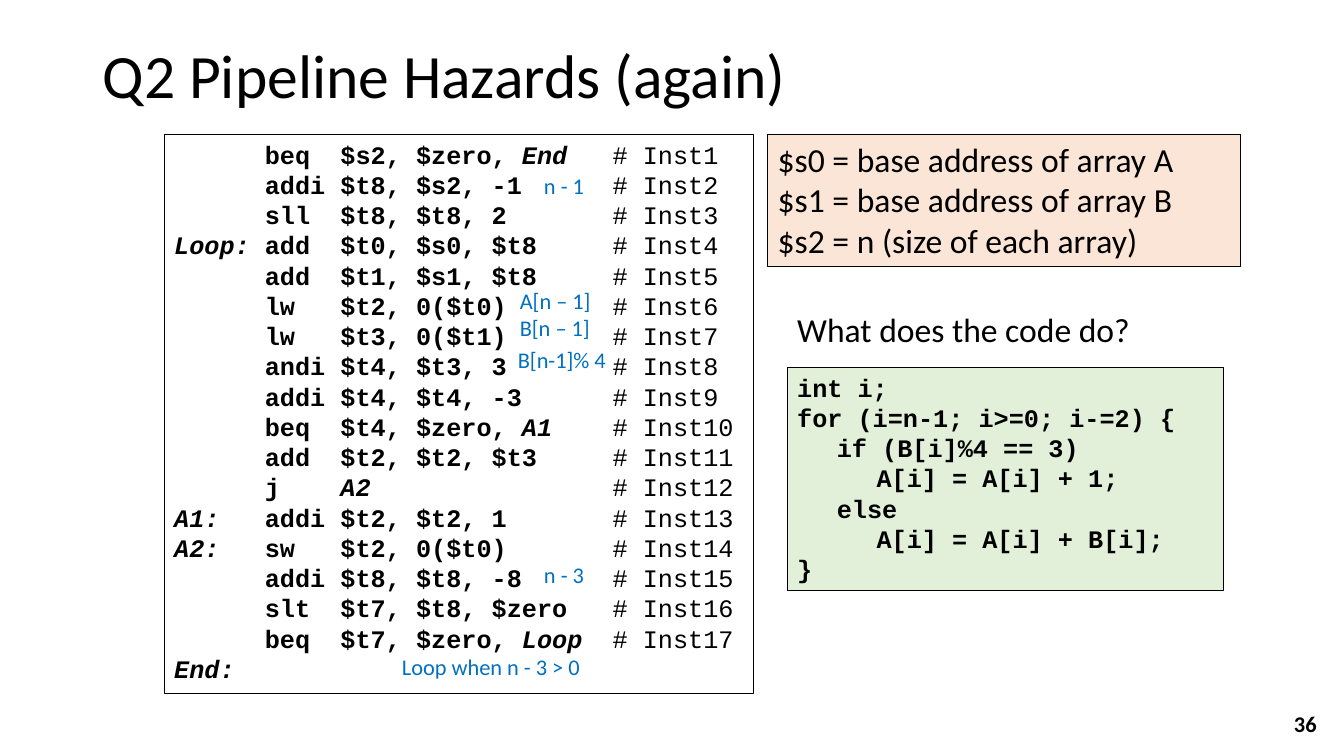
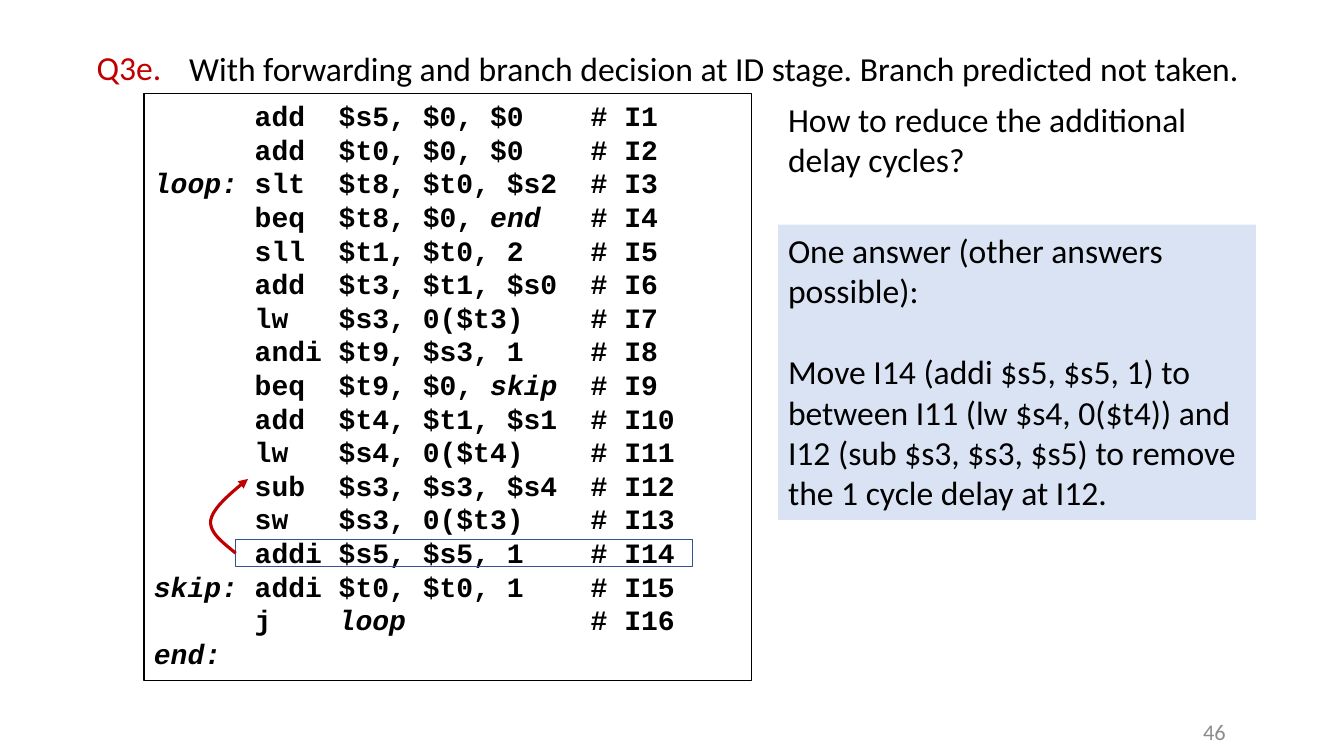
import pptx
import pptx.dml.color
import pptx.enum.shapes
import pptx.enum.text
import pptx.util
from lxml import etree
from pptx.oxml.ns import qn

Cm, Pt = pptx.util.Cm, pptx.util.Pt
ALIGN = pptx.enum.text.PP_ALIGN
ANCHOR = pptx.enum.text.MSO_ANCHOR

BLACK, RED, BLUE, GREY = "000000", "C00000", "0070C0", "8C8C8C"
GREEN_FILL, PEACH_FILL, PALE_BLUE_FILL = "E2F0D9", "FBE5D6", "DAE3F3"
HIGHLIGHT = "325491"

FORMATS = {
    "title": {"name": "Calibri", "size": Pt(44)},
    "body": {"name": "Calibri", "size": Pt(24)},
    "note": {"name": "Calibri", "size": Pt(16)},
    "number": {"name": "Calibri", "size": Pt(16), "bold": True},
    "code": {"name": "Courier New", "size": Pt(18), "bold": True},
    "large code": {"name": "Courier New", "size": Pt(20), "bold": True},
}
CHARACTER_WIDTH = 0.6  # Courier New, as a share of the text size


def colour(hex_text):
    return pptx.dml.color.RGBColor.from_string(hex_text)


def bezier(start, control_1, control_2, end, steps=10):
    """Points along a cubic curve, without its start."""
    for step in range(1, steps + 1):
        t = step / steps
        weights = ((1 - t) ** 3, 3 * t * (1 - t) ** 2, 3 * t * t * (1 - t), t ** 3)
        yield tuple(sum(w * p[axis] for w, p in zip(weights, (start, control_1, control_2, end)))
                    for axis in (0, 1))


class Deck:
    def __init__(self):
        self.file = pptx.Presentation()
        self.file.slide_width, self.file.slide_height = Cm(33.87), Cm(19.05)
        self.slide = None

    def new_slide(self):
        self.slide = self.file.slides.add_slide(self.file.slide_layouts[6])

    def fill_text(self, frame, lines, style, ink=BLACK, align=ALIGN.LEFT, tabs=(), gap=0,
                  spacing=None):
        """Each line is a text or a list of (text, format changes)."""
        frame.word_wrap = True
        for index, line in enumerate(lines):
            paragraph = frame.paragraphs[0] if index == 0 else frame.add_paragraph()
            paragraph.alignment = align
            if spacing:
                paragraph.line_spacing = spacing
            if gap and index < len(lines) - 1:
                paragraph.space_after = Pt(gap)
            if tabs:
                tab_list = etree.SubElement(paragraph._p.get_or_add_pPr(), qn("a:tabLst"))
                for tab in tabs:
                    etree.SubElement(tab_list, qn("a:tab"), pos=str(int(tab)), algn="l")
            for text, changes in [(line, {})] if isinstance(line, str) else line:
                run = paragraph.add_run()
                run.text = text
                for attribute, value in {**FORMATS[style], **changes}.items():
                    setattr(run.font, attribute, value)
                run.font.color.rgb = colour(ink)

    def text(self, at, lines, style="body", anchor=ANCHOR.TOP, **layout):
        frame = self.slide.shapes.add_textbox(*map(Cm, at)).text_frame
        frame.vertical_anchor = anchor
        self.fill_text(frame, lines, style, **layout)

    def panel(self, at, lines=(), style="body", fill=None, line=BLACK, width=0.75, **layout):
        shape = self.slide.shapes.add_shape(pptx.enum.shapes.MSO_SHAPE.RECTANGLE, *map(Cm, at))
        shape.shadow.inherit = False
        if fill:
            shape.fill.solid()
            shape.fill.fore_color.rgb = colour(fill)
        else:
            shape.fill.background()
        if line:
            shape.line.color.rgb = colour(line)
            shape.line.width = Pt(width)
        else:
            shape.line.fill.background()
        shape.text_frame.vertical_anchor = ANCHOR.TOP
        self.fill_text(shape.text_frame, lines, style, **layout)

    def listing(self, at, program, style, comment, comment_column, comment_bold):
        """Rows read label|operation|operands; text between asterisks is italic."""
        lines = []
        for number, row in enumerate(program, 1):
            label, *instruction = row.split("|")
            runs = [(label, {"italic": True})] if label else []
            if instruction:
                pieces = ("\t" + "\t".join(instruction)).split("*")
                runs += [(piece, {"italic": place % 2 == 1})
                         for place, piece in enumerate(pieces) if piece]
                runs.append((f"\t# {comment}{number}", {"bold": comment_bold}))
            lines.append(runs)
        character = CHARACTER_WIDTH * FORMATS[style]["size"]
        self.panel(at, lines, style,
                   tabs=[column * character for column in (6, 11, comment_column)])

    def curved_arrow(self, start, *curves, line=RED, width=2.25):
        points = [start]
        for curve in curves:
            points.extend(bezier(points[-1], *curve))
        points = [(Cm(x), Cm(y)) for x, y in points]
        builder = self.slide.shapes.build_freeform(*points[0])
        builder.add_line_segments(points[1:], close=False)
        arrow = builder.convert_to_shape()
        arrow.shadow.inherit = False
        arrow.fill.background()
        arrow.line.color.rgb = colour(line)
        arrow.line.width = Pt(width)
        etree.SubElement(arrow.line._get_or_add_ln(), qn("a:tailEnd"), type="triangle")

    def number(self, at, value, style, ink):
        self.text(at, [value], style, ANCHOR.MIDDLE, ink=ink, align=ALIGN.RIGHT)


HAZARD_PROGRAM = [
    "|beq|$s2, $zero, *End*",
    "|addi|$t8, $s2, -1",
    "|sll|$t8, $t8, 2",
    "Loop:|add|$t0, $s0, $t8",
    "|add|$t1, $s1, $t8",
    "|lw|$t2, 0($t0)",
    "|lw|$t3, 0($t1)",
    "|andi|$t4, $t3, 3",
    "|addi|$t4, $t4, -3",
    "|beq|$t4, $zero, *A1*",
    "|add|$t2, $t2, $t3",
    "|j|*A2*",
    "A1:|addi|$t2, $t2, 1",
    "A2:|sw|$t2, 0($t0)",
    "|addi|$t8, $t8, -8",
    "|slt|$t7, $t8, $zero",
    "|beq|$t7, $zero, *Loop*",
    "End:",
]

FORWARDING_PROGRAM = [
    "|add|$s5, $0, $0",
    "|add|$t0, $0, $0",
    "loop:|slt|$t8, $t0, $s2",
    "|beq|$t8, $0, *end*",
    "|sll|$t1, $t0, 2",
    "|add|$t3, $t1, $s0",
    "|lw|$s3, 0($t3)",
    "|andi|$t9, $s3, 1",
    "|beq|$t9, $0, *skip*",
    "|add|$t4, $t1, $s1",
    "|lw|$s4, 0($t4)",
    "|sub|$s3, $s3, $s4",
    "|sw|$s3, 0($t3)",
    "|addi|$s5, $s5, 1",
    "skip:|addi|$t0, $t0, 1",
    "|j|*loop*",
    "end:",
]


def hazards_slide(deck):
    deck.new_slide()
    deck.text((2.34, 1.02, 29.21, 3.68), ["Q2 Pipeline Hazards (again)"], "title", spacing=0.9)
    deck.number((25.81, 17.73, 7.62, 1.02), "36", "number", BLACK)
    deck.listing((4.14, 3.38, 14.86, 14.1), HAZARD_PROGRAM, "code", "Inst", 29, False)

    # Registers and the equivalent C code
    deck.panel((19.35, 3.38, 11.91, 3.33),
               ["$s0 = base address of array A",
                "$s1 = base address of array B",
                "$s2 = n (size of each array)"], fill=PEACH_FILL)
    deck.text((19.84, 7.67, 10.72, 1.27), ["What does the code do?"])
    deck.panel((19.84, 9.25, 11, 5.64),
               ["int i;",
                "for (i=n-1; i>=0; i-=2) {",
                "\tif (B[i]%4 == 3)",
                "\t\tA[i] = A[i] + 1;",
                "\telse",
                "\t\tA[i] = A[i] + B[i];",
                "}"], "code", GREEN_FILL, tabs=(Cm(1), Cm(2)))

    # Notes beside the instructions
    for left, top, width, note in (
            (13.46, 4.22, 1.8, "n - 1"),
            (12.85, 7.11, 2.97, "A[n – 1]"),
            (12.85, 7.8, 2.97, "B[n – 1]"),
            (12.8, 8.61, 2.97, "B[n-1]% 4"),
            (13.46, 14.02, 1.8, "n - 3"),
            (9.88, 16.33, 5.36, "Loop when n - 3 > 0")):
        deck.text((left, top, width, 0.94), [note], "note", ink=BLUE)


def forwarding_slide(deck):
    deck.new_slide()
    deck.text((1.98, 1.07, 2.54, 1.27), ["Q3e."], ink=RED, align=ALIGN.CENTER)
    deck.text((4.52, 1.09, 27.61, 1.27),
              ["With forwarding and branch decision at ID stage. Branch predicted not taken."])
    deck.number((27.51, 17.93, 3.63, 1.02), "46", "note", GREY)
    deck.listing((3.63, 2.36, 15.32, 14.78), FORWARDING_PROGRAM, "large code", "I", 26, True)

    # Question and answer
    deck.text((19.61, 2.36, 11.18, 2.31), ["How to reduce the additional delay cycles?"])
    deck.panel((19.61, 5.66, 12.04, 7.44),
               ["One answer (other answers possible):",
                "Move I14 (addi $s5, $s5, 1) to between I11 (lw $s4, 0($t4)) and "
                "I12 (sub $s3, $s3, $s5) to remove the 1 cycle delay at I12."],
               fill=PALE_BLUE_FILL, line=None, gap=29.3)

    # The instruction that moves up
    deck.panel((5.94, 13.59, 11.51, 0.69), line=HIGHLIGHT, width=1)
    deck.curved_arrow((5.94, 13.94),
                      ((5.61, 13.67), (5.26, 13.41), (5.31, 13.11)),
                      ((5.36, 12.8), (5.82, 12.42), (6.25, 12.07)))


def main():
    deck = Deck()
    hazards_slide(deck)
    forwarding_slide(deck)
    deck.file.save("out.pptx")


if __name__ == "__main__":
    main()
